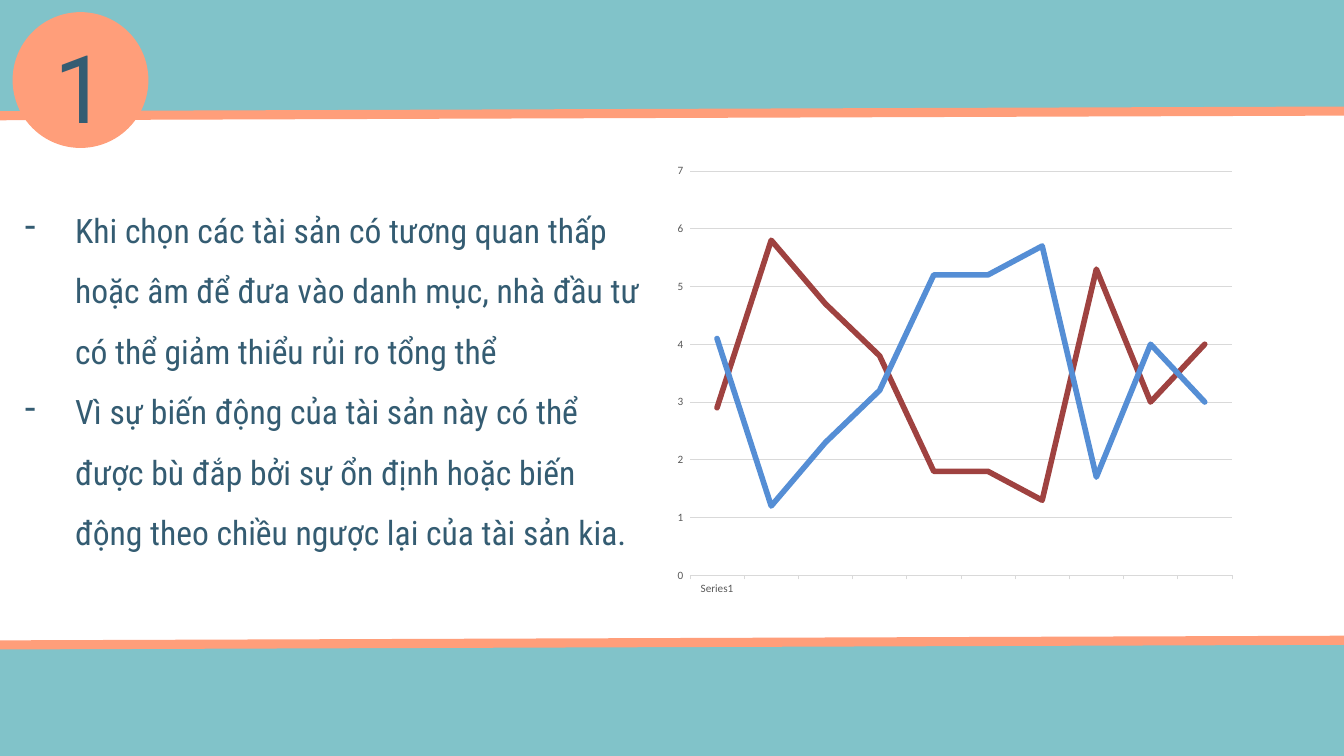
from lxml import etree
from pptx import Presentation
from pptx.chart.data import CategoryChartData
from pptx.dml.color import RGBColor
from pptx.enum.chart import XL_CHART_TYPE, XL_MARKER_STYLE, XL_TICK_MARK
from pptx.enum.shapes import MSO_CONNECTOR, MSO_SHAPE
from pptx.enum.text import MSO_ANCHOR, MSO_AUTO_SIZE, PP_ALIGN
from pptx.oxml import parse_xml
from pptx.oxml.ns import nsdecls, qn
from pptx.util import Pt

LINE_CHART = XL_CHART_TYPE.LINE
NO_MARKER = XL_MARKER_STYLE.NONE
TICK_OUT = XL_TICK_MARK.OUTSIDE
STRAIGHT = XL_CONNECTOR = MSO_CONNECTOR.STRAIGHT
RECTANGLE, OVAL = MSO_SHAPE.RECTANGLE, MSO_SHAPE.OVAL
TOP, CENTER, NO_FIT = MSO_ANCHOR.TOP, PP_ALIGN.CENTER, MSO_AUTO_SIZE.NONE

TEAL = RGBColor(0x81, 0xC3, 0xC9)
WHITE = RGBColor(0xFF, 0xFF, 0xFF)
CORAL = RGBColor(0xFF, 0x9E, 0x7A)
NAVY = RGBColor(0x34, 0x5C, 0x72)
RED = RGBColor(0x9F, 0x42, 0x40)
BLUE = RGBColor(0x55, 0x8E, 0xD5)
GRID = RGBColor(0xD9, 0xD9, 0xD9)
GREY = RGBColor(0x59, 0x59, 0x59)

WIDTH, HEIGHT = 1440, 810
BULLETS = [
    "Khi chọn các tài sản có tương quan thấp hoặc âm để đưa vào danh mục, "
    "nhà đầu tư có thể giảm thiểu rủi ro tổng thể",
    "Vì sự biến động của tài sản này có thể được bù đắp bởi sự ổn định hoặc "
    "biến động theo chiều ngược lại của tài sản kia.",
]
CATEGORIES = ["Series1"] + [""] * 9
SERIES = [
    ("Series 1", RED, [2.9, 5.8, 4.7, 3.8, 1.8, 1.8, 1.3, 5.3, 3, 4]),
    ("Series 2", BLUE, [4.1, 1.2, 2.3, 3.2, 5.2, 5.2, 5.7, 1.7, 4, 3]),
]
PLOT_AREA = {"x": 0.02, "y": 0.07, "w": 0.96, "h": 0.84}


def add_filled(s, kind, x, y, w, h, color):
    sp = s.shapes.add_shape(kind, Pt(x), Pt(y), Pt(w), Pt(h))
    sp.shadow.inherit = False
    sp.fill.solid()
    sp.fill.fore_color.rgb = color
    sp.line.fill.background()


def add_stripe(s, y_left, y_right):
    line = s.shapes.add_connector(STRAIGHT, 0, Pt(y_left), Pt(WIDTH), Pt(y_right))
    line.line.color.rgb = CORAL
    line.line.width = Pt(9.75)
    etree.SubElement(line._element.spPr, qn("a:effectLst"))


def prepare_frame(sp):
    tf = sp.text_frame
    tf.word_wrap = True
    tf.auto_size = NO_FIT
    tf.vertical_anchor = TOP
    tf.margin_left = tf.margin_right = tf.margin_top = tf.margin_bottom = 0
    return tf


def add_run(p, text, font, size):
    r = p.add_run()
    r.text = text
    r.font.name = font
    r.font.size = Pt(size)
    r.font.color.rgb = NAVY


def add_bullets(s, x, y, w, h):
    tf = prepare_frame(s.shapes.add_textbox(Pt(x), Pt(y), Pt(w), Pt(h)))
    for i, text in enumerate(BULLETS):
        p = tf.add_paragraph() if i else tf.paragraphs[0]
        p.line_spacing = 1.5
        pPr = p._p.get_or_add_pPr()
        pPr.set("marL", str(Pt(54)))
        pPr.set("indent", str(-Pt(54)))
        etree.SubElement(pPr, qn("a:buChar"), char="-")
        add_run(p, text, "Roboto Condensed", 36)


def style_axis(axis):
    axis.major_tick_mark = TICK_OUT
    font = axis.tick_labels.font
    font.name = "Calibri"
    font.size = Pt(12)
    font.color.rgb = GREY


def set_hairline(line):
    line.color.rgb = GRID
    line.width = Pt(0.75)


def set_plot_area(chart):
    plot_area = chart._chartSpace.chart.plotArea
    for old in plot_area.findall(qn("c:layout")):
        plot_area.remove(old)
    sizes = "".join(f'<c:{k} val="{v}"/>' for k, v in PLOT_AREA.items())
    plot_area.insert(0, parse_xml(
        f'<c:layout {nsdecls("c")}><c:manualLayout><c:layoutTarget val="inner"/>'
        f'<c:xMode val="edge"/><c:yMode val="edge"/>{sizes}'
        '</c:manualLayout></c:layout>'))


def add_line_chart(s, x, y, w, h):
    data = CategoryChartData()
    data.categories = CATEGORIES
    for name, _, values in SERIES:
        data.add_series(name, values)
    chart = s.shapes.add_chart(LINE_CHART, Pt(x), Pt(y), Pt(w), Pt(h), data).chart
    chart.has_legend = False
    chart.has_title = False
    chart.font.name = "Calibri"
    chart.font.size = Pt(10)
    chart.plots[0].vary_by_categories = False
    set_plot_area(chart)

    style_axis(chart.category_axis)
    set_hairline(chart.category_axis.format.line)
    values = chart.value_axis
    style_axis(values)
    values.minimum_scale, values.maximum_scale, values.major_unit = 0, 7, 1
    values.format.line.fill.background()
    set_hairline(values.major_gridlines.format.line)

    for series, (_, color, _) in zip(chart.plots[0].series, SERIES):
        series.smooth = False
        series.marker.style = NO_MARKER
        series.format.line.color.rgb = color
        series.format.line.width = Pt(6)
        series.format.line._get_or_add_ln().set("cap", "rnd")


def place_title(s, text, x, y, w, h):
    title = s.shapes.title
    title.left, title.top, title.width, title.height = Pt(x), Pt(y), Pt(w), Pt(h)
    p = prepare_frame(title).paragraphs[0]
    p.alignment = CENTER
    p.line_spacing = Pt(141.4)
    add_run(p, text, "Roboto", 101)
    s.shapes._spTree.append(title._element)  # in front of the circle


def main():
    prs = Presentation()
    prs.slide_width, prs.slide_height = Pt(WIDTH), Pt(HEIGHT)
    s = prs.slides.add_slide(prs.slide_layouts[5])
    s.background.fill.solid()
    s.background.fill.fore_color.rgb = TEAL

    # White band between two slightly tilted stripes
    add_filled(s, RECTANGLE, 0, 121.5, WIDTH, 567, WHITE)
    add_stripe(s, 691, 686)
    add_stripe(s, 124, 119)

    # Content
    add_line_chart(s, 726, 147, 606, 516)
    add_bullets(s, 26.5, 203, 668, 392)

    # Section number in its circle
    add_filled(s, OVAL, 13.5, 13, 145.5, 145.5, CORAL)
    place_title(s, "1", 39, 11.5, 95, 132)

    prs.save("out.pptx")


if __name__ == "__main__":
    main()
